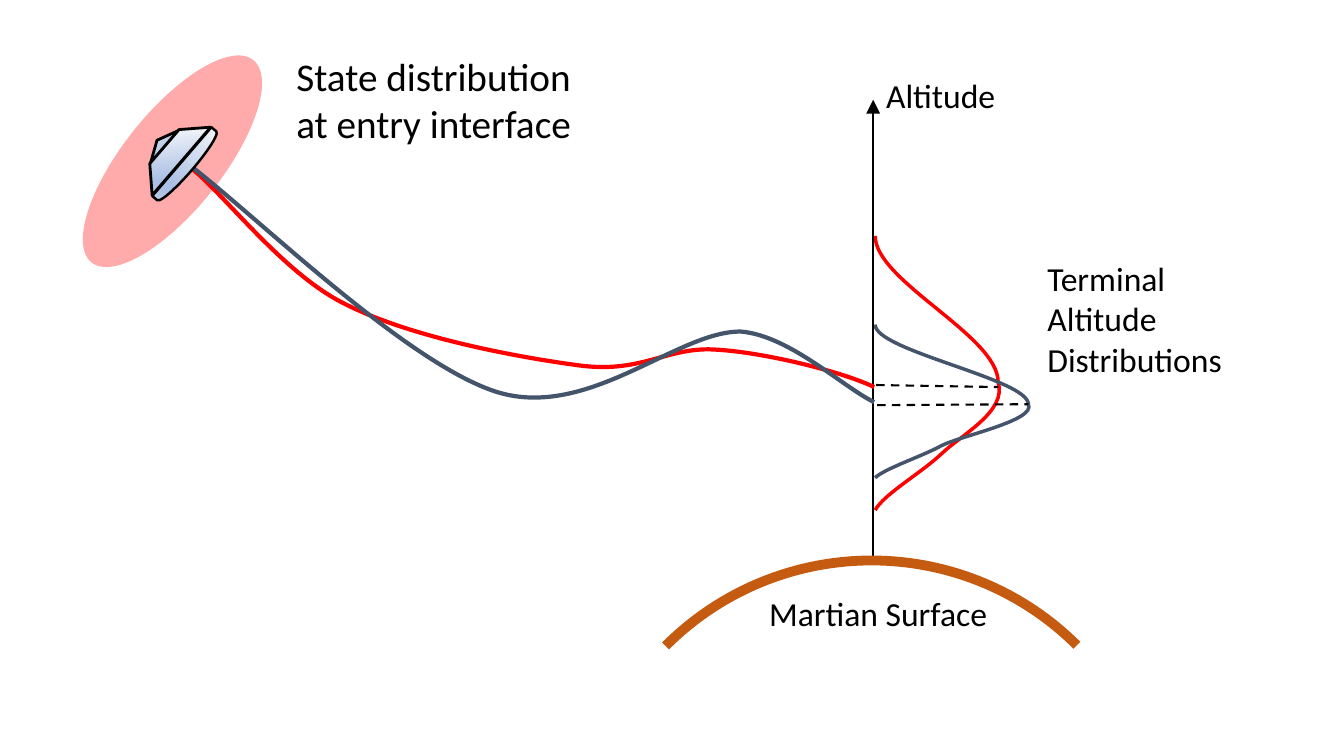
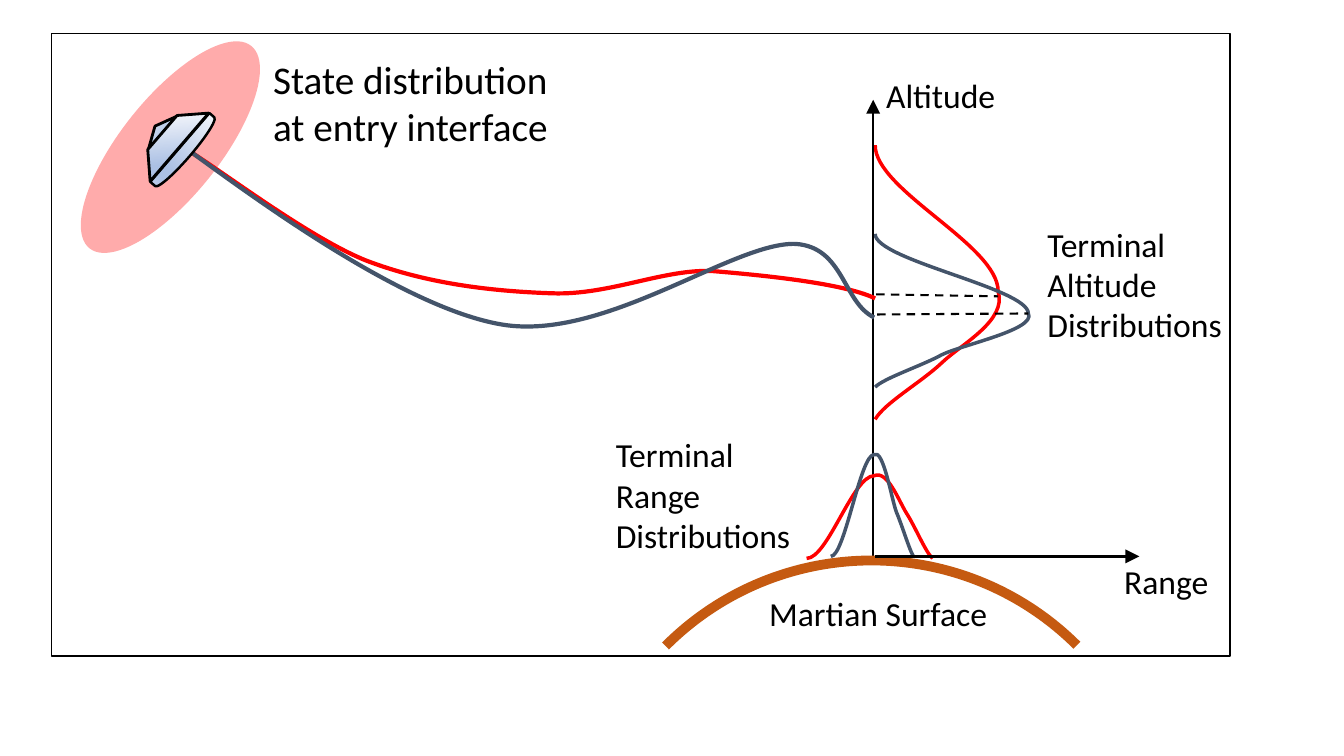
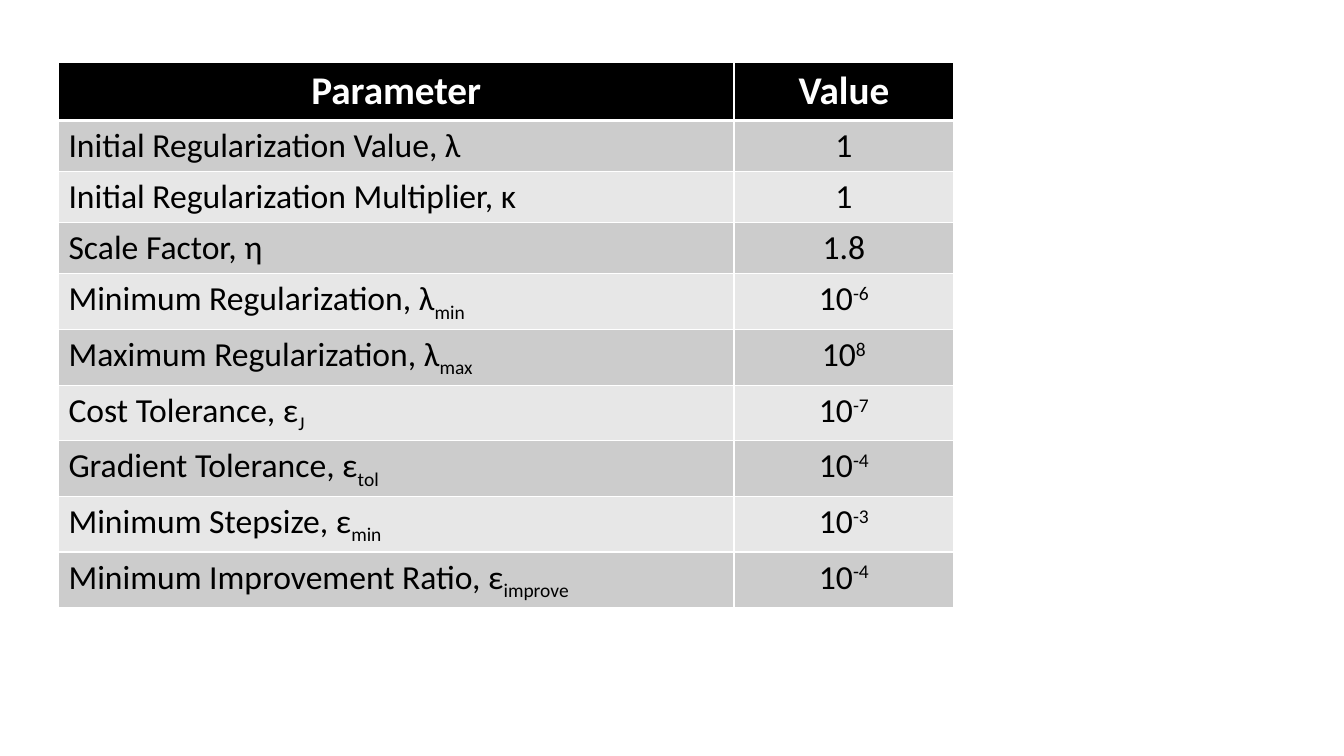
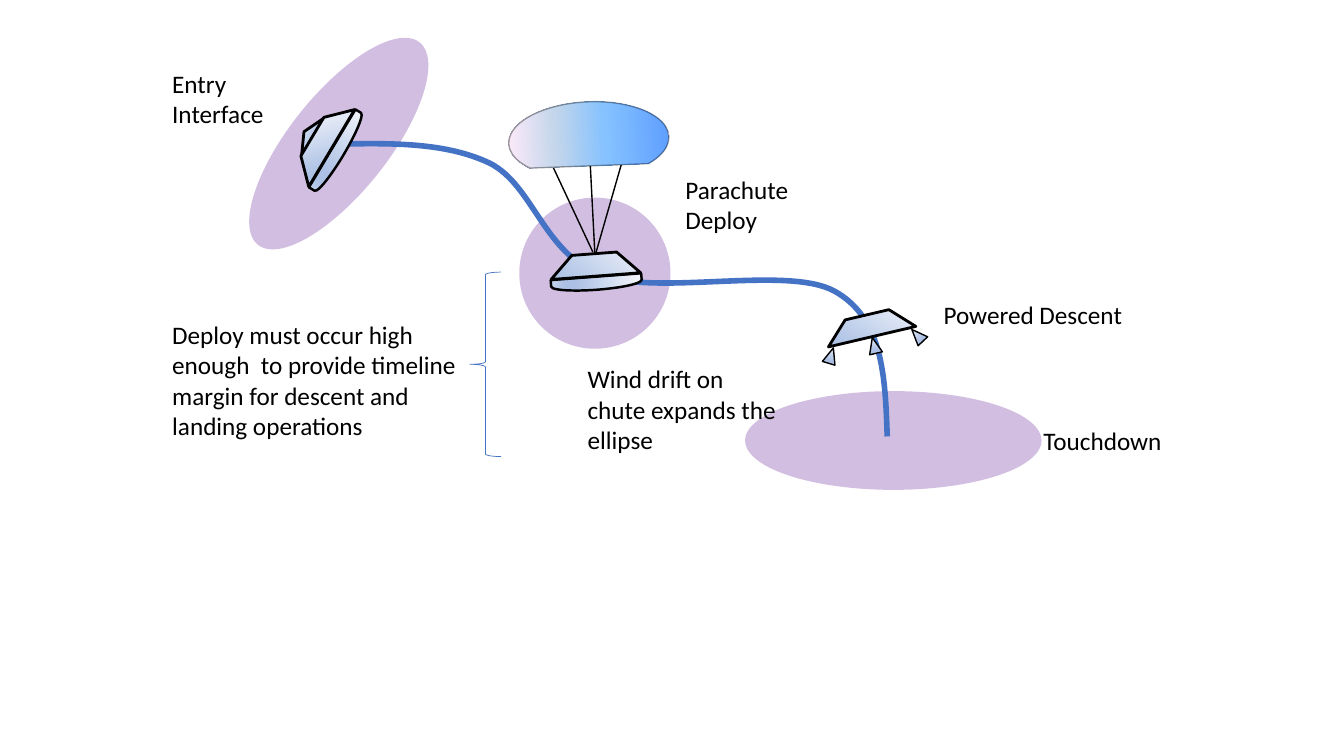
"""Slides on entry guidance: terminal distributions, solver settings and descent stages."""
import copy
import dataclasses
import math

import lxml.etree
import pptx
import pptx.dml.color
import pptx.enum.dml
import pptx.enum.shapes
import pptx.enum.text
import pptx.oxml.ns
import pptx.util

Inches = pptx.util.Inches
Pt = pptx.util.Pt
Kind = pptx.enum.shapes.MSO_SHAPE
qn = pptx.oxml.ns.qn


@dataclasses.dataclass(frozen=True)
class Theme:
    """Colours and type sizes that the slides share."""
    font: str = "Calibri"
    large: int = 28
    body: int = 24
    small: int = 18
    ink: str = "000000"
    paper: str = "FFFFFF"
    red: str = "FF0000"
    slate: str = "44546A"
    soil: str = "C55A11"
    blue: str = "4472C4"
    violet: str = "7030A0"
    bands: tuple = ("CCCCCC", "E7E7E7")
    metal: tuple = ((0, "F6F8FC"), (74, "ABC0E4"), (83, "ABC0E4"), (100, "C7D5ED"))
    silk: tuple = ((0, "5E9EFF"), (40, "85C2FF"), (70, "C4D6EB"), (100, "FFEBFA"))


@dataclasses.dataclass(frozen=True)
class Box:
    """A place on the slide in inches."""
    x: float
    y: float
    w: float = 0
    h: float = 0

    def sub(self, x, y, w=0, h=0):
        """Return a box offset from this one."""
        return Box(self.x + x, self.y + y, w, h)

    def mid(self, x, y, w, h):
        """Return a box centred on a point offset from this one."""
        return self.sub(x - w / 2, y - h / 2, w, h)

    def emu(self):
        """Return left, top, width and height as lengths."""
        return [Inches(v) for v in (self.x, self.y, self.w, self.h)]


THEME = Theme()
ALTITUDE = {
    THEME.red: [(0, 0), (0, .45), (1.22, .99), (1.22, 1.45), (1.31, 1.74),
                (.86, 1.97), (.66, 2.16), (.46, 2.35), (.09, 2.56), (0, 2.72)],
    THEME.slate: [(0, .88), (0, 1.14), (1.52, 1.42), (1.52, 1.67), (1.6, 1.83),
                  (.86, 1.98), (.66, 2.08), (.46, 2.19), (.09, 2.31), (0, 2.4)],
}
RANGE = {
    THEME.red: [(-.67, .01), (-.46, .01), (-.21, -.81), (0, -.81), (.13, -.87),
                (.24, -.57), (.32, -.44), (.41, -.3), (.51, -.05), (.58, .01)],
    THEME.slate: [(-.43, -.01), (-.29, -.01), (-.14, -1.02), (0, -1.02), (.09, -1.08),
                  (.17, -.59), (.22, -.45), (.28, -.31), (.35, -.07), (.39, -.01)],
}
STEEP = (
    [(0, 0), (.31, .17), (.95, 1.08), (1.61, 1.41), (2.27, 1.75), (3.36, 1.95), (3.98, 2.03),
     (4.59, 2.1), (4.83, 1.83), (5.32, 1.87), (5.8, 1.9), (6.56, 2.09), (6.87, 2.24)],
    [(.03, 0), (.68, .48), (2.21, 2), (3.13, 2.29), (4.04, 2.57),
     (4.92, 1.68), (5.55, 1.69), (6.03, 1.73), (6.56, 2.24), (6.87, 2.39)],
)
SHALLOW = (
    [(0, -.02), (.31, .15), (1.23, .87), (1.84, 1.12), (2.46, 1.36), (3.12, 1.43), (3.7, 1.45),
     (4.27, 1.47), (4.82, 1.2), (5.3, 1.23), (5.78, 1.27), (6.59, 1.35), (6.9, 1.5)],
    [(-.02, -.05), (.63, .42), (2.18, 1.59), (3.2, 1.76), (4.22, 1.93),
     (5.49, .94), (6.11, .96), (6.59, .99), (6.58, 1.54), (6.89, 1.69)],
)
DESCENT = [(1.74, 1.33), (2.28, 1.32), (2.82, 1.31), (3.26, 1.52), (3.69, 1.74),
           (3.79, 2.41), (4.36, 2.63), (4.93, 2.84), (6.21, 2.53), (6.68, 2.79),
           (7.16, 3.06), (7.18, 3.64), (7.2, 4.23)]
ROWS = [
    ("Initial Regularization Value, λ", "", "1", ""),
    ("Initial Regularization Multiplier, κ", "", "1", ""),
    ("Scale Factor, η", "", "1.8", ""),
    ("Minimum Regularization, λ", "min", "10", "-6"),
    ("Maximum Regularization, λ", "max", "10", "8"),
    ("Cost Tolerance, ε", "J", "10", "-7"),
    ("Gradient Tolerance, ε", "tol", "10", "-4"),
    ("Minimum Stepsize, ε", "min", "10", "-3"),
    ("Minimum Improvement Ratio, ε", "improve", "10", "-4"),
]


def tint(code):
    """Return a colour from its hex code."""
    return pptx.dml.color.RGBColor.from_string(code)


def fade(node, share):
    """Make the colours under a node partly clear."""
    for color in node.iter(qn("a:srgbClr")):
        lxml.etree.SubElement(color, qn("a:alpha")).set("val", str(share * 1000))


def blend(shape, stops):
    """Fill a shape with a gradient from top to bottom."""
    shape.fill.gradient()
    shape.fill.gradient_angle = 270
    ramp = shape.element.spPr.find(".//" + qn("a:gsLst"))
    while len(ramp) < len(stops):
        ramp.append(copy.deepcopy(ramp[0]))
    for stop, (place, code) in zip(shape.fill.gradient_stops, stops):
        stop.position = place / 100
        stop.color.rgb = tint(code)


def stroke(shape, color, width):
    """Give a shape a solid line."""
    shape.line.color.rgb = tint(color)
    shape.line.width = Pt(width)


def put(shapes, kind, box, turn=0, line=None, width=1):
    """Add an unfilled preset shape, with a line if a colour is given."""
    shape = shapes.add_shape(kind, *box.emu())
    shape.shadow.inherit = False
    shape.rotation = turn % 360
    shape.fill.background()
    if line:
        stroke(shape, line, width)
    else:
        shape.line.fill.background()
    return shape


def zone(shapes, box, turn, color, share):
    """Add a translucent ellipse."""
    shape = put(shapes, Kind.OVAL, box, turn)
    shape.fill.solid()
    shape.fill.fore_color.rgb = tint(color)
    fade(shape.element.spPr, share)


def link(shapes, start, end, width, dash=False, arrow=False):
    """Add a straight line between two boxes' corners, with any arrow at its start."""
    line = shapes.add_connector(pptx.enum.shapes.MSO_CONNECTOR.STRAIGHT,
                                *start.emu()[:2], *end.emu()[:2])
    stroke(line, THEME.ink, width)
    if dash:
        line.line.dash_style = pptx.enum.dml.MSO_LINE.DASH
    props = line.element.spPr
    if arrow:
        lxml.etree.SubElement(props.find(qn("a:ln")), qn("a:headEnd"),
                              type="triangle", w="lg", len="lg")
    lxml.etree.SubElement(props, qn("a:effectLst"))


def curve(shapes, box, points, color, width):
    """Draw a chain of cubic curves through points relative to a box."""
    spots = [box.sub(*point).emu()[:2] for point in points]
    pen = shapes.build_freeform(*spots[0])
    pen.add_line_segments(spots[1:], close=False)
    shape = pen.convert_to_shape()
    shape.shadow.inherit = False
    shape.fill.background()
    stroke(shape, color, width)
    track = shape.element.spPr.find(".//" + qn("a:path"))
    legs = track.findall(qn("a:lnTo"))
    for place, leg in enumerate(legs):
        if place % 3 == 0:
            bend = lxml.etree.SubElement(track, qn("a:cubicBezTo"))
        bend.append(leg[0])
        track.remove(leg)


def style(para, size, color=THEME.ink, bold=False):
    """Set the font of a paragraph."""
    para.font.name = THEME.font
    para.font.size = Pt(size)
    para.font.bold = bold
    para.font.color.rgb = tint(color)


def label(shapes, box, text, size, wrap=True):
    """Add a text box with one paragraph a line."""
    shape = shapes.add_textbox(*box.emu())
    frame = shape.text_frame
    frame.word_wrap = wrap
    frame.auto_size = pptx.enum.text.MSO_AUTO_SIZE.SHAPE_TO_FIT_TEXT
    frame.text = text
    for para in frame.paragraphs:
        style(para, size)


def craft(shapes, box, tilt, parts):
    """Add grouped craft parts, set along and across the craft's axis."""
    group = shapes.add_group_shape()
    angle = math.radians(tilt + 45)
    for kind, along, across, w, h, turn, width in parts:
        x = along * math.cos(angle) - across * math.sin(angle)
        y = along * math.sin(angle) + across * math.cos(angle)
        part = put(group.shapes, kind, box.mid(x, y, w, h), tilt + turn, THEME.ink, width)
        blend(part, THEME.metal)
    return group.shapes


HULL = (Kind.DIAGONAL_STRIPE, 0, 0, .63, .63, 0, 2)
SHIELD = (Kind.FLOWCHART_DELAY, .07, 0, .13, .9, 45, 1.75)
CAP = (Kind.ISOSCELES_TRIANGLE, -.27, 0, .43, .1, -45, 2)
JETS = [(Kind.ISOSCELES_TRIANGLE, .09, .44 * side, .13, .16, 30 * side - 45, 1)
        for side in (0, 1, -1)]


def entry(shapes, box, paths, text):
    """Draw the entry state and two paths from a craft centred at the box."""
    curve(shapes, box, paths[0], THEME.red, 3)
    zone(shapes, box.mid(-.09, 0, .98, 2.57), 38.6, THEME.red, 33)
    curve(shapes, box, paths[1], THEME.slate, 3)
    label(shapes, text, "State distribution \nat entry interface", THEME.large, wrap=False)
    craft(shapes, box, -4.3, [CAP, SHIELD, HULL])


def bells(shapes, box, text):
    """Draw the altitude distributions down from the box."""
    for color, points in ALTITUDE.items():
        curve(shapes, box, points, color, 2.5)
    link(shapes, box.sub(.02, 1.68), box.sub(1.52, 1.67), 1.5, dash=True)
    link(shapes, box.sub(.01, 1.48), box.sub(1.22, 1.5), 1.5, dash=True)
    label(shapes, text, "Terminal Altitude Distributions", THEME.body)


def ground(shapes, box):
    """Draw the altitude axis and surface from the axis foot."""
    link(shapes, box.sub(0, -4.54), box, 1.75, arrow=True)
    put(shapes, Kind.ARC, box.sub(-2.9, .03, 5.77, 5.77), 314.9, THEME.soil, 7)
    label(shapes, box.sub(-1.13, .3, 2.39, .5), "Martian Surface", THEME.body, wrap=False)
    label(shapes, box.sub(.03, -4.84, 1.3, .5), "Altitude", THEME.body, wrap=False)


def reach(shapes, box):
    """Draw the range axis and distributions around the box."""
    for color, points in RANGE.items():
        curve(shapes, box, points, color, 2.5)
    label(shapes, box.sub(-2.66, -1.27, 2.07, 1.31), "Terminal Range Distributions", THEME.body)
    link(shapes, box.sub(2.63, -.01), box.sub(.01, -.01), 1.75, arrow=True)
    label(shapes, box.sub(2.38, -.01, 1.05, .5), "Range", THEME.body, wrap=False)


def edge(cell, widths):
    """Give a cell white borders: left, right, top and bottom."""
    props = cell._tc.get_or_add_tcPr()
    for side, width in zip("LRTB", widths):
        line = lxml.etree.SubElement(props, qn("a:ln" + side), w=str(Pt(width)))
        fill = lxml.etree.SubElement(line, qn("a:solidFill"))
        lxml.etree.SubElement(fill, qn("a:srgbClr"), val=THEME.paper)


def write(cell, text, script, shift, center):
    """Write a cell's text, with a raised or lowered run if there is one."""
    para = cell.text_frame.paragraphs[0]
    para.add_run().text = text
    if script:
        run = para.add_run()
        run.text = script
        run._r.get_or_add_rPr().set("baseline", str(shift * 1000))
    if center:
        para.alignment = pptx.enum.text.PP_ALIGN.CENTER
    return para


def grid(shapes, box):
    """Add the table of solver settings."""
    rows = [("Parameter", "", "Value", "")] + ROWS
    frame = shapes.add_table(len(rows), 2, *box.emu())
    table = frame.table
    for column, width in zip(table.columns, (6.7, 2.18)):
        column.width = Inches(width)
    for r, (name, low, value, high) in enumerate(rows):
        head = r == 0
        table.rows[r].height = Inches(.41)
        fill = THEME.ink if head else THEME.bands[(r - 1) % 2]
        for c, (text, script, shift) in enumerate([(name, low, -25), (value, high, 30)]):
            cell = table.cell(r, c)
            edge(cell, (1, 1, 3 if r == 1 else 1, 3 if head else 1))
            cell.fill.solid()
            cell.fill.fore_color.rgb = tint(fill)
            para = write(cell, text, script, shift, head or c == 1)
            if head:
                style(para, THEME.large, THEME.paper, bold=True)
            else:
                style(para, THEME.body)
    frame.height = Inches(box.h)


def stages(shapes, box):
    """Draw the zones and the path from entry to touchdown."""
    for spot, turn in (((6.77, 2.8, .98, 2.94), 90), ((3.55, 1.86, 1.5, 1.5), 180),
                       ((1.27, .04, .98, 2.57), 38.6)):
        zone(shapes, box.sub(*spot), turn, THEME.violet, 31)
    curve(shapes, box, DESCENT, THEME.blue, 4)
    craft(shapes, box.sub(1.69, 1.37), -14.2, [CAP, SHIELD, HULL])
    label(shapes, box.sub(.01, .53, 1.46, .71), "Entry Interface", THEME.small)
    label(shapes, box.sub(8.65, 4.07, 1.39, .4), "Touchdown", THEME.small, wrap=False)


def chute(shapes, box):
    """Draw the craft under its parachute, centred at the box."""
    group = craft(shapes, box, 40.7, [SHIELD, HULL])
    for start, end in (((-.01, -.22), (-.06, -1.19)), ((0, -.23), (.27, -1.17)),
                       ((-.03, -.24), (-.47, -1.18))):
        link(group, box.sub(*start), box.sub(*end), 1)
    dome = put(group, Kind.CHORD, box.mid(-.07, -1.35, .76, 1.59), 87.4, THEME.ink)
    dome.adjustments[0] = 40.29
    dome.adjustments[1] = 176.55
    blend(dome, THEME.silk)
    fade(dome.element.spPr.find(qn("a:ln")), 34)
    label(shapes, box.sub(.79, -1.06, 1.59, .71), "Parachute Deploy", THEME.small)
    label(shapes, box.sub(-.18, .82, 2.07, 1.01),
          "Wind drift on chute expands the ellipse ", THEME.small)


def lander(shapes, box):
    """Draw the craft on its jets, centred at the box."""
    craft(shapes, box, 31.8, [HULL] + JETS)
    label(shapes, box.sub(.61, -.42, 1.99, .4), "Powered Descent", THEME.small, wrap=False)


def margin(shapes, box):
    """Add the note on timeline margin and its brace."""
    put(shapes, Kind.LEFT_BRACE, box.sub(box.w - .31, 0, .31, box.h), 0, THEME.blue, .5)
    label(shapes, box.sub(0, .42, 3.04, 1.31),
          "Deploy must occur high enough  to provide timeline margin for "
          "descent and landing operations", THEME.small)


def main():
    """Build and save the slides."""
    deck = pptx.Presentation()
    deck.slide_width, deck.slide_height = Inches(13.33), Inches(7.5)
    steep, shallow, setup, descent = [
        deck.slides.add_slide(deck.slide_layouts[6]).shapes for _ in range(4)]
    foot = Box(8.66, 5.53)

    bells(steep, Box(8.68, 2.34), Box(10.29, 2.51, 2.07, 1.31))
    ground(steep, foot)
    entry(steep, Box(1.8, 1.6), STEEP, Box(2.84, .47, 3.05, 1.04))

    bells(shallow, Box(8.68, 1.44), Box(10.29, 2.17, 2.07, 1.31))
    ground(shallow, foot)
    entry(shallow, Box(1.78, 1.46), SHALLOW, Box(2.61, .5, 3.05, 1.04))
    reach(shallow, foot.sub(.01, 0))
    put(shallow, Kind.RECTANGLE, Box(.51, .33, 11.69, 6.18), 0, THEME.ink)

    grid(setup, Box(.58, .62, 8.89, 5.07))

    stages(descent, Box(1.6, .1))
    chute(descent, Box(5.91, 2.74))
    lander(descent, Box(8.65, 3.34))
    margin(descent, Box(1.61, 2.7, 3.36, 1.83))
    deck.save("out.pptx")


main()
